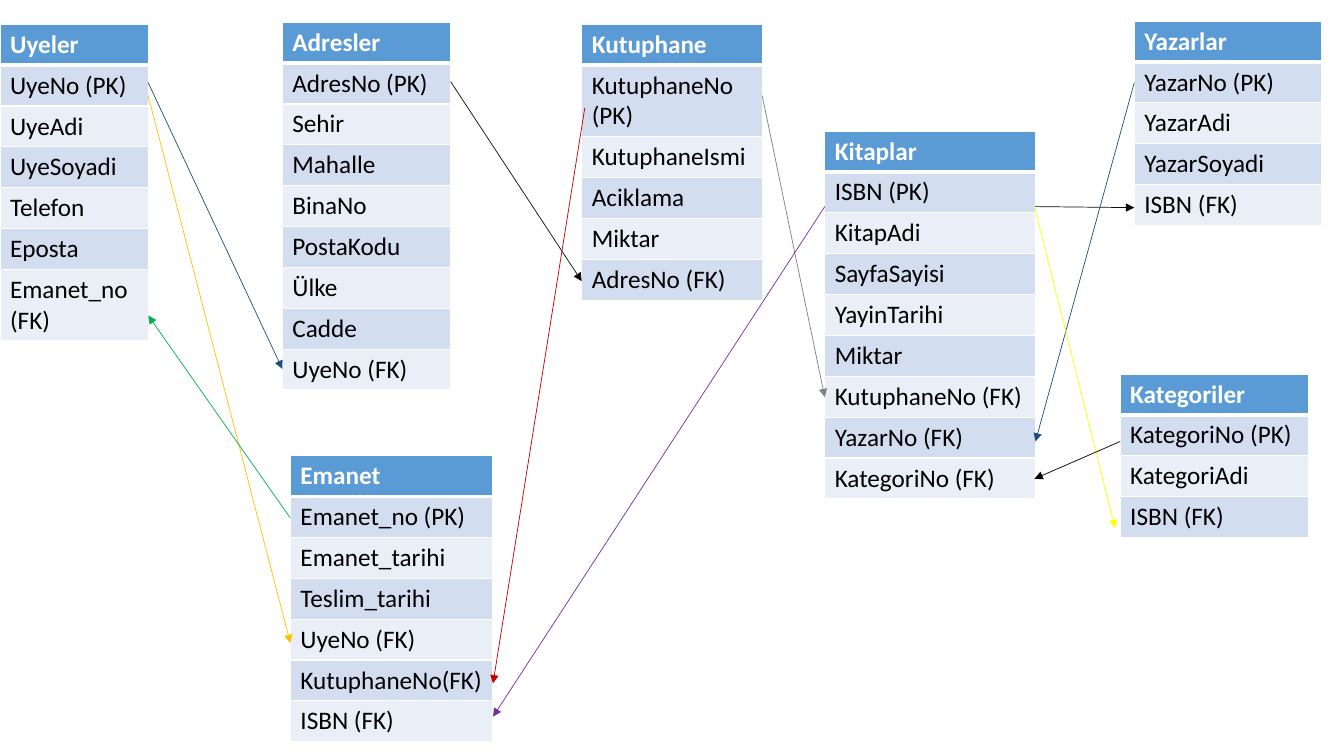
from pptx import Presentation
from pptx.dml.color import RGBColor
from pptx.enum.shapes import MSO_CONNECTOR
from pptx.oxml.ns import qn
from pptx.util import Inches, Pt
from lxml import etree

STRAIGHT = MSO_CONNECTOR.STRAIGHT
ROW_HEIGHT = Inches(3.65) // 9
HEADER_FILL = "5B9BD5"
BAND_FILLS = ("EAEFF7", "D2DEEF")


def rgb(value):
    return RGBColor.from_string(value)


def add_borders(cell, top, bottom):
    """Give a cell white borders; widths in points."""
    tc_pr = cell._tc.get_or_add_tcPr()
    sides = (("a:lnL", 1), ("a:lnR", 1), ("a:lnT", top), ("a:lnB", bottom))
    for position, (tag, width) in enumerate(sides):
        border = etree.Element(qn(tag), w=str(Pt(width)))
        fill = etree.SubElement(border, qn("a:solidFill"))
        etree.SubElement(fill, qn("a:srgbClr"), val="FFFFFF")
        tc_pr.insert(position, border)


prs = Presentation()
prs.slide_width, prs.slide_height = Inches(13.33), Inches(7.5)
s = prs.slides.add_slide(prs.slide_layouts[6])

# Database tables: left, top, width, header and fields
entities = [
    (0, 0.24, 1.47, ["Uyeler", "UyeNo (PK)", "UyeAdi", "UyeSoyadi", "Telefon",
                     "Eposta", "Emanet_no (FK)"]),
    (2.8, 0.22, 1.67, ["Adresler", "AdresNo (PK)", "Sehir", "Mahalle", "BinaNo",
                       "PostaKodu", "Ülke", "Cadde", "UyeNo (FK)"]),
    (5.77, 0.24, 1.79, ["Kutuphane", "KutuphaneNo (PK)", "KutuphaneIsmi",
                        "Aciklama", "Miktar", "AdresNo (FK)"]),
    (2.88, 4.52, 2.01, ["Emanet", "Emanet_no (PK)", "Emanet_tarihi",
                        "Teslim_tarihi", "UyeNo (FK)", "KutuphaneNo(FK)",
                        "ISBN (FK)"]),
    (8.18, 1.3, 2.09, ["Kitaplar", "ISBN (PK)", "KitapAdi", "SayfaSayisi",
                       "YayinTarihi", "Miktar", "KutuphaneNo (FK)",
                       "YazarNo (FK)", "KategoriNo (FK)"]),
    (11.25, 0.21, 1.86, ["Yazarlar", "YazarNo (PK)", "YazarAdi", "YazarSoyadi",
                         "ISBN (FK)"]),
    (11.11, 3.71, 1.87, ["Kategoriler", "KategoriNo (PK)", "KategoriAdi",
                         "ISBN (FK)"]),
]
for left, top, width, fields in entities:
    table = s.shapes.add_table(len(fields), 1, Inches(left), Inches(top),
                               Inches(width), ROW_HEIGHT * len(fields)).table
    for i, field in enumerate(fields):
        table.rows[i].height = ROW_HEIGHT
        cell = table.cell(i, 0)
        cell.text = field
        cell.fill.solid()
        cell.fill.fore_color.rgb = rgb(BAND_FILLS[i % 2] if i else HEADER_FILL)
        add_borders(cell, 3 if i == 1 else 1, 1 if i else 3)
        p = cell.text_frame.paragraphs[0]
        p.font.name = "Calibri"
        p.font.size = Pt(18)
        p.font.bold = i == 0
        p.font.color.rgb = rgb("000000" if i else "FFFFFF")

# Key relations: start x, y, end x, y and colour
relations = [
    (1.47, 0.82, 2.8, 3.66, "1F4E79"),
    (4.47, 0.81, 5.77, 2.79, "0D0D0D"),
    (1.47, 0.95, 2.88, 6.38, "FFC000"),
    (5.8, 1.07, 4.89, 6.78, "C00000"),
    (2.88, 5.14, 1.47, 3.13, "00B050"),
    (7.56, 0.95, 8.18, 3.94, "808080"),
    (8.18, 2.05, 4.89, 7.11, "7030A0"),
    (10.27, 2.05, 11.25, 2.06, "0D0D0D"),
    (11.25, 0.82, 10.27, 4.38, "1F4E79"),
    (10.26, 2.05, 11.06, 5.24, "FFFF00"),
    (11.11, 4.38, 10.26, 4.75, "000000"),
]
for x1, y1, x2, y2, color in relations:
    line = s.shapes.add_connector(STRAIGHT, Inches(x1), Inches(y1),
                                  Inches(x2), Inches(y2))
    line.line.color.rgb = rgb(color)
    line.line.width = Pt(0.5)
    sp_pr = line._element.spPr
    etree.SubElement(sp_pr.find(qn("a:ln")), qn("a:tailEnd"), type="triangle")
    etree.SubElement(sp_pr, qn("a:effectLst"))

prs.save("out.pptx")
